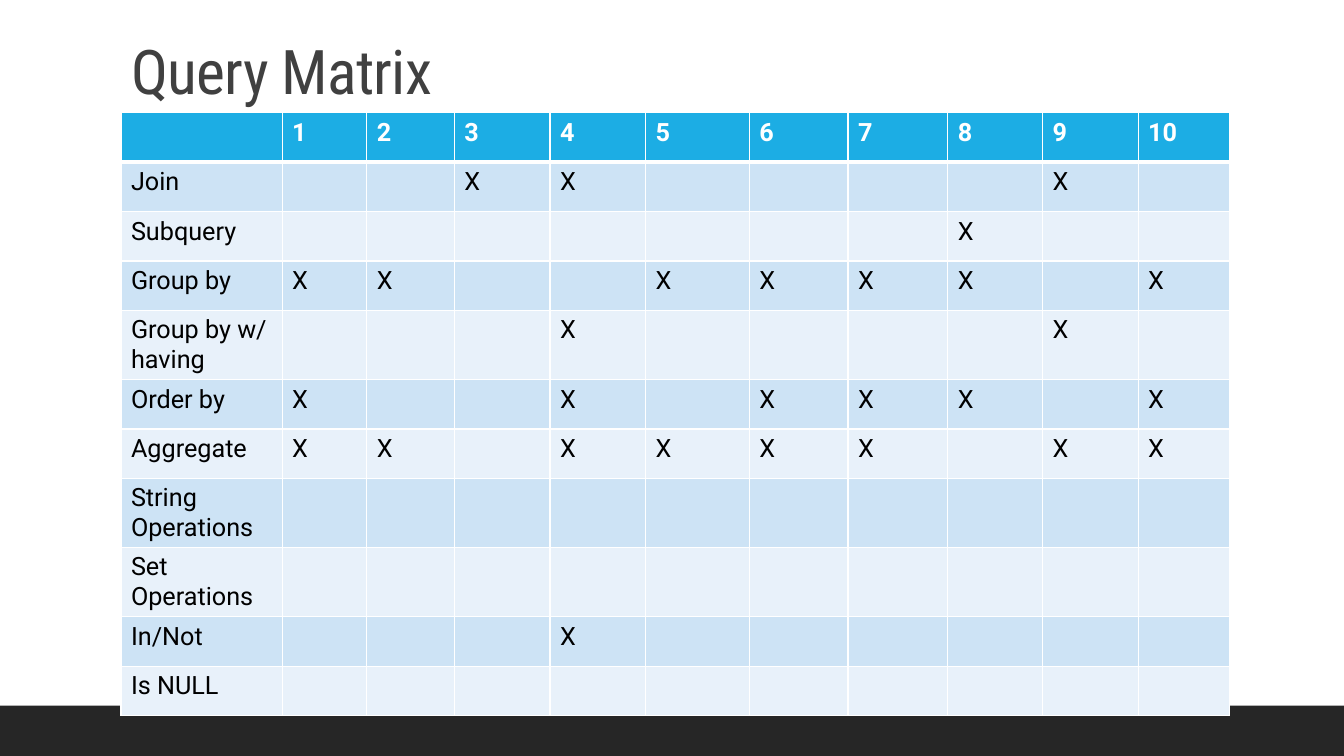
from dataclasses import dataclass

from lxml import etree
from pptx import Presentation
from pptx.dml.color import RGBColor
from pptx.enum.shapes import MSO_SHAPE
from pptx.enum.text import MSO_ANCHOR, MSO_AUTO_SIZE, PP_ALIGN
from pptx.oxml.ns import qn
from pptx.util import Inches, Pt

RECT = MSO_SHAPE.RECTANGLE
BOTTOM = MSO_ANCHOR.BOTTOM
LEFT = PP_ALIGN.LEFT
FIXED = MSO_AUTO_SIZE.NONE

WHITE = RGBColor(0xFF, 0xFF, 0xFF)
BLACK = RGBColor(0x00, 0x00, 0x00)
GREY = RGBColor(0x40, 0x40, 0x40)
DARK = RGBColor(0x26, 0x26, 0x26)
BLUE = RGBColor(0x1C, 0xAD, 0xE4)
BANDS = (RGBColor(0xCD, 0xE3, 0xF5), RGBColor(0xE8, 0xF1, 0xFA))

WIDE, HIGH = Inches(13.33), Inches(7.5)
SIDE, SPAN = round(WIDE * 0.09), Inches(11)
HEAD = Inches(1.12)
COLS = (1.6, 0.84, 0.87, 0.95, 0.95, 1.03, 0.98, 0.99, 0.94, 0.95, 0.91)
SHORT, TALL = Inches(0.49), Inches(0.64)


@dataclass(frozen=True)
class Topic:
    name: str
    marks: tuple[int, ...] = ()
    height: int = SHORT


TOPICS = (
    Topic("Join", (3, 4, 9)),
    Topic("Subquery", (8,)),
    Topic("Group by", (1, 2, 5, 6, 7, 8, 10)),
    Topic("Group by w/ having", (4, 9), TALL),
    Topic("Order by", (1, 4, 6, 7, 8, 10)),
    Topic("Aggregate", (1, 2, 4, 5, 6, 7, 9, 10)),
    Topic("String Operations", height=TALL),
    Topic("Set Operations", height=TALL),
    Topic("In/Not", (4,)),
    Topic("Is NULL"),
)


def add_bar(slide) -> None:
    top = round(HIGH * 14 / 15)
    bar = slide.shapes.add_shape(RECT, 0, top, WIDE, HIGH - top)
    bar.shadow.inherit = False
    bar.fill.solid()
    bar.fill.fore_color.rgb = DARK
    bar.line.fill.background()


def set_title(slide, text: str) -> None:
    title = slide.shapes.title
    title.left, title.top = SIDE, Inches(0.31)
    title.width, title.height = SPAN, HEAD - Inches(0.31)
    frame = title.text_frame
    frame.text = text
    frame.auto_size = FIXED
    frame.vertical_anchor = BOTTOM
    line = frame.paragraphs[0]
    line.alignment = LEFT
    line.line_spacing = 0.9
    run = line.runs[0]
    run.font.name = "Roboto Condensed"
    run.font.size = Pt(44)
    run.font.color.rgb = GREY
    run.font._element.set("spc", "-50")


def add_edge(cell, side: str, width: int) -> None:
    props = cell._tc.get_or_add_tcPr()
    edge = etree.SubElement(props, qn(f"a:{side}"), w=str(Pt(width)))
    fill = etree.SubElement(edge, qn("a:solidFill"))
    etree.SubElement(fill, qn("a:srgbClr"), val=str(WHITE))


def set_cell(cell, text: str, row: int) -> None:
    head = row == 0
    edges = {"lnL": 1, "lnR": 1, "lnT": 3 if row == 1 else 1, "lnB": 3 if head else 1}
    for side, width in edges.items():
        add_edge(cell, side, width)
    cell.fill.solid()
    cell.fill.fore_color.rgb = BLUE if head else BANDS[(row - 1) % 2]
    cell.text_frame.text = text
    line = cell.text_frame.paragraphs[0]
    line.font.size = Pt(18)
    for run in line.runs:
        run.font.name = "Roboto"
        run.font.size = Pt(18)
        run.font.bold = head
        run.font.color.rgb = WHITE if head else BLACK


def add_matrix(slide) -> None:
    count = len(COLS)
    heights = [SHORT] + [topic.height for topic in TOPICS]
    texts = [[""] + [str(col) for col in range(1, count)]]
    for topic in TOPICS:
        marks = ["X" if col in topic.marks else "" for col in range(1, count)]
        texts.append([topic.name] + marks)
    frame = slide.shapes.add_table(len(texts), count, SIDE, HEAD, SPAN, sum(heights))
    table = frame.table
    for col, share in zip(table.columns, COLS):
        col.width = round(SPAN * share / sum(COLS))
    for row, (height, line) in enumerate(zip(heights, texts)):
        table.rows[row].height = height
        for col, text in enumerate(line):
            set_cell(table.cell(row, col), text, row)


def main() -> None:
    deck = Presentation()
    deck.slide_width, deck.slide_height = WIDE, HIGH
    slide = deck.slides.add_slide(deck.slide_layouts[5])
    add_bar(slide)
    set_title(slide, "Query Matrix")
    add_matrix(slide)
    deck.save("out.pptx")


if __name__ == "__main__":
    main()
